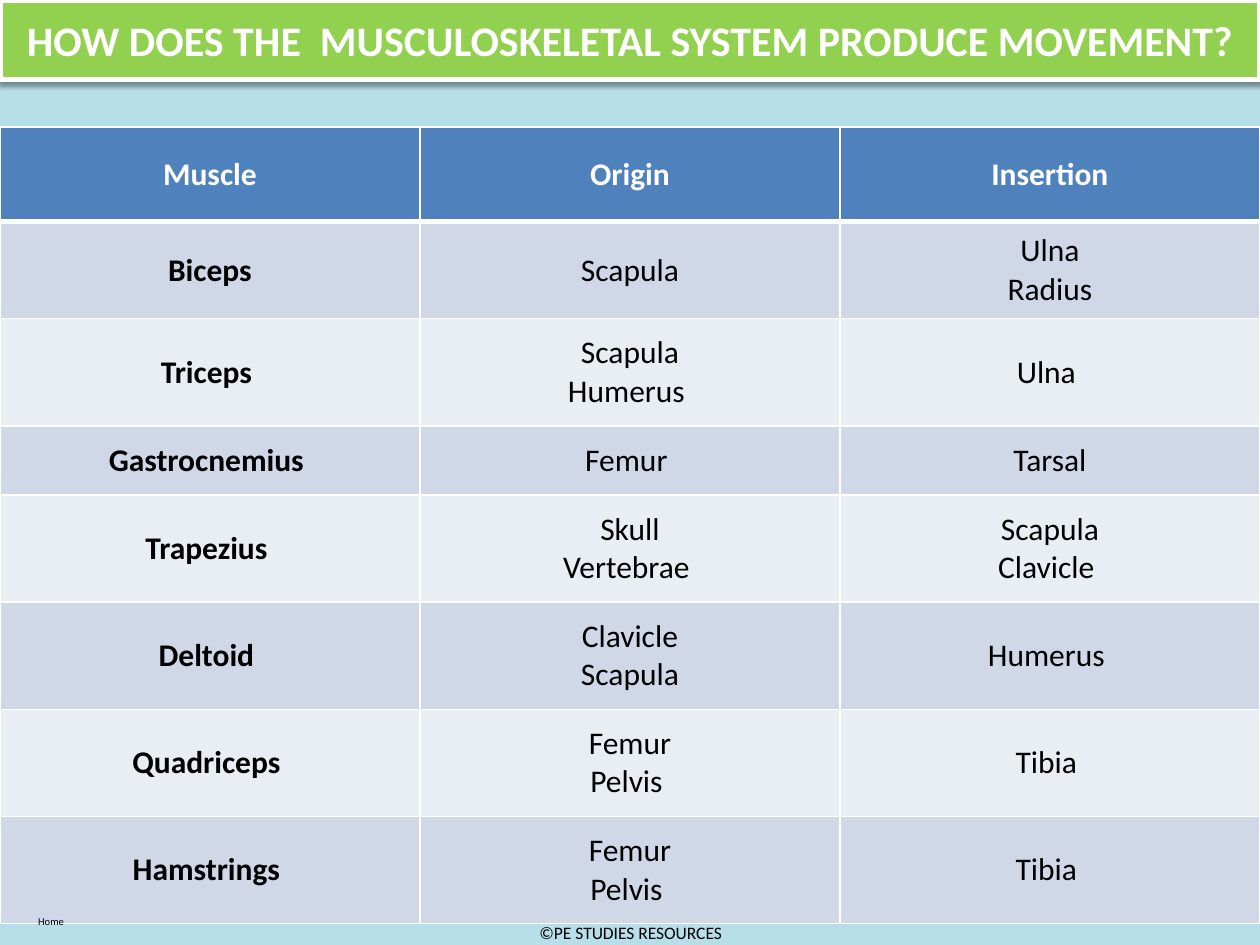
"""Build a slide with a table of muscles, their origins and their insertions."""
from lxml.etree import SubElement
from pptx import Presentation
from pptx.dml.color import RGBColor
from pptx.enum.shapes import MSO_SHAPE
from pptx.enum.text import MSO_ANCHOR, PP_ALIGN
from pptx.oxml.ns import qn
from pptx.util import Inches, Pt

FONT = "Calibri"
COLORS = {
    "background": "B7DFEA",
    "banner": "92D050",
    "header": "4F81BD",
    "dark_band": "D0D8E8",
    "light_band": "E9EDF4",
    "white": "FFFFFF",
    "black": "000000",
}
ROWS = [
    ("Muscle", "Origin", "Insertion"),
    ("Biceps", "Scapula", "Ulna\nRadius"),
    ("Triceps ", "Scapula\nHumerus ", "Ulna "),
    ("Gastrocnemius ", "Femur ", "Tarsal"),
    ("Trapezius ", "Skull\nVertebrae ", "Scapula\nClavicle "),
    ("Deltoid ", "Clavicle\nScapula", "Humerus "),
    ("Quadriceps ", "Femur\nPelvis ", "Tibia "),
    ("Hamstrings ", "Femur\nPelvis ", "Tibia "),
]
ROW_HEIGHTS = [0.75, 0.77, 0.85, 0.55] + [0.85] * 4


def rgb(name):
    return RGBColor.from_string(COLORS[name])


def write_text(frame, text, size, color="black", bold=False):
    frame.text = text
    for paragraph in frame.paragraphs:
        paragraph.alignment = PP_ALIGN.CENTER
        font = paragraph.font
        font.name, font.size, font.bold = FONT, Pt(size), bold
        font.color.rgb = rgb(color)


def add_border(cell, side, width):
    line = SubElement(cell._tc.get_or_add_tcPr(), qn(f"a:ln{side}"), w=str(Pt(width)))
    fill = SubElement(line, qn("a:solidFill"))
    SubElement(fill, qn("a:srgbClr"), val=COLORS["white"])


def style_cell(cell, text, row, column):
    is_header = row == 0
    write_text(cell.text_frame, text, 18, "white" if is_header else "black",
               bold=is_header or column == 0)
    cell.vertical_anchor = MSO_ANCHOR.MIDDLE
    widths = {"L": 1, "R": 1, "T": 3 if row == 1 else 1, "B": 3 if is_header else 1}
    for side, width in widths.items():
        add_border(cell, side, width)
    band = "header" if is_header else "dark_band" if row % 2 else "light_band"
    cell.fill.solid()
    cell.fill.fore_color.rgb = rgb(band)


def add_muscle_table(slide):
    frame = slide.shapes.add_table(len(ROWS), len(ROWS[0]), 0, Inches(1.01),
                                   Inches(10), Inches(sum(ROW_HEIGHTS)))
    table = frame.table
    for row, (texts, height) in enumerate(zip(ROWS, ROW_HEIGHTS)):
        table.rows[row].height = Inches(height)
        for column, text in enumerate(texts):
            style_cell(table.cell(row, column), text, row, column)


def add_label(slide, text, left, top, width, height, size, anchor):
    box = slide.shapes.add_textbox(Inches(left), Inches(top), Inches(width), Inches(height))
    box.text_frame.word_wrap = True
    box.text_frame.vertical_anchor = anchor
    write_text(box.text_frame, text, size)


def add_shadow(shape):
    shape.shadow.inherit = False
    effects = shape._element.spPr.find(qn("a:effectLst"))
    shadow = SubElement(effects, qn("a:outerShdw"), blurRad=str(Pt(3.1)),
                        dist=str(Pt(1.6)), dir="5400000", rotWithShape="0")
    color = SubElement(shadow, qn("a:srgbClr"), val=COLORS["black"])
    SubElement(color, qn("a:alpha"), val="38000")


def add_banner(slide, text):
    banner = slide.shapes.add_shape(MSO_SHAPE.RECTANGLE, 0, 0, Inches(10), Inches(0.63))
    banner.fill.solid()
    banner.fill.fore_color.rgb = rgb("banner")
    banner.line.color.rgb = rgb("white")
    banner.line.width = Pt(3)
    add_shadow(banner)
    banner.text_frame.word_wrap = True
    banner.text_frame.vertical_anchor = MSO_ANCHOR.MIDDLE
    write_text(banner.text_frame, text, 24, "white", bold=True)


def main():
    presentation = Presentation()
    presentation.slide_width, presentation.slide_height = Inches(10), Inches(7.5)
    slide = presentation.slides.add_slide(presentation.slide_layouts[6])
    slide.background.fill.solid()
    slide.background.fill.fore_color.rgb = rgb("background")
    add_muscle_table(slide)
    add_label(slide, "©PE STUDIES RESOURCES", 3.42, 7.2, 3.17, 0.4, 10, MSO_ANCHOR.MIDDLE)
    add_label(slide, "Home", 0.06, 7.21, 0.69, 0.2, 6, MSO_ANCHOR.TOP)
    add_banner(slide, "HOW DOES THE  MUSCULOSKELETAL SYSTEM PRODUCE MOVEMENT?")
    presentation.save("out.pptx")


if __name__ == "__main__":
    main()
